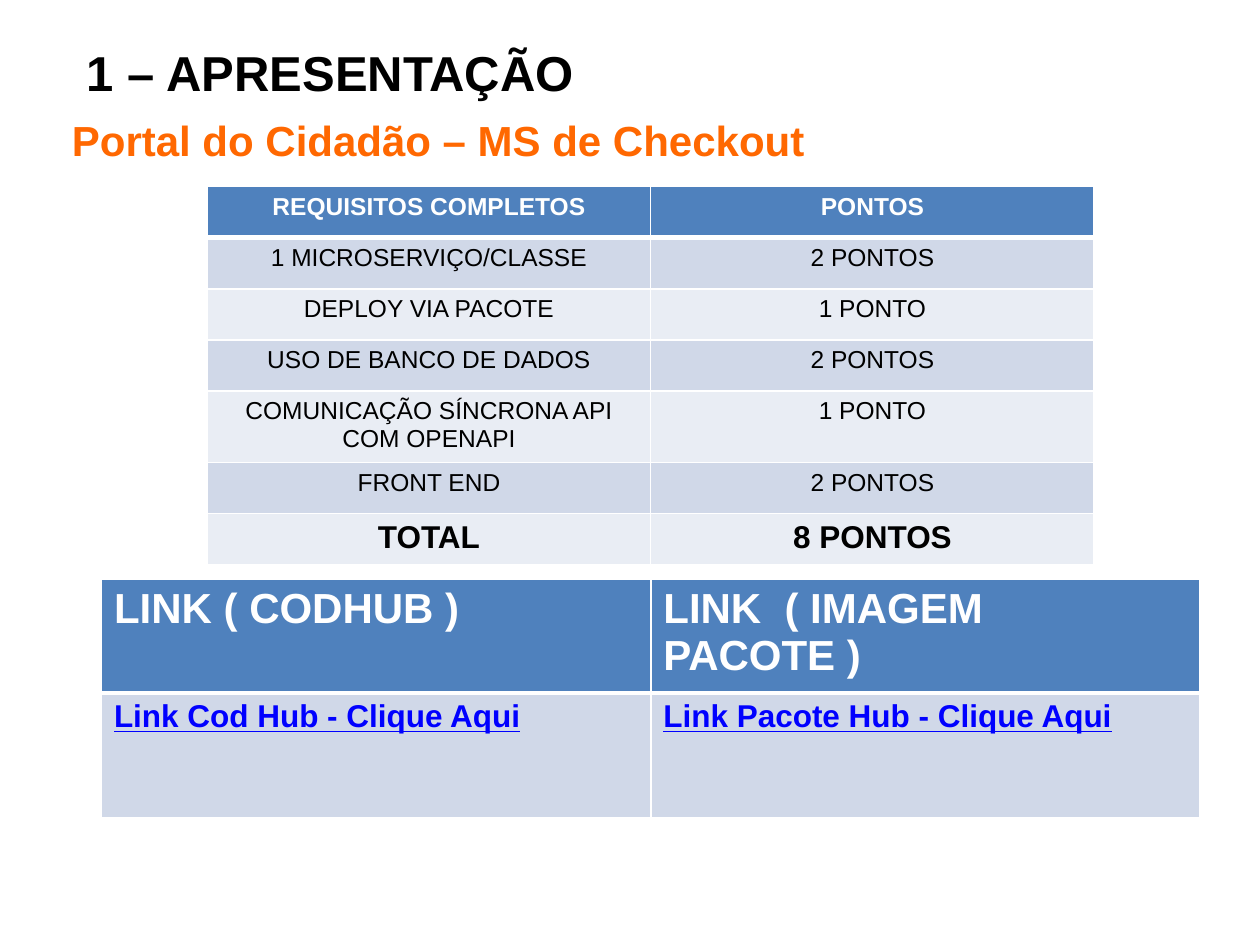
from dataclasses import dataclass
from lxml import etree
from pptx import Presentation
from pptx.dml.color import RGBColor
from pptx.enum.text import PP_ALIGN
from pptx.oxml.ns import qn
from pptx.util import Inches, Pt

LEFT, MID, JUST = PP_ALIGN.LEFT, PP_ALIGN.CENTER, PP_ALIGN.JUSTIFY
WIDE, HIGH = Inches(10), Inches(7.5)
COLS, ROWS = 100, 75


@dataclass(frozen=True)
class Theme:
    font: str = "Arial"
    ink: str = "000000"
    paper: str = "FFFFFF"
    accent: str = "FF6801"
    head: str = "4F81BD"
    bands: tuple = ("D0D8E8", "E9EDF4")
    link: str = "0000FF"
    title: int = 28
    large: int = 24
    total: int = 18
    body: int = 14
    thin: int = 1
    thick: int = 3


THEME = Theme()


def across(n):
    return round(WIDE * n / COLS)


def down(n):
    return round(HIGH * n / ROWS)


def area(left, top, width, height):
    return across(left), down(top), across(width), down(height)


def style(frame, size, color, bold=True, align=LEFT, under=False):
    for para in frame.paragraphs:
        para.alignment = align
        for run in para.runs:
            font = run.font
            font.name, font.size, font.bold = THEME.font, Pt(size), bold
            font.color.rgb = RGBColor.from_string(color)
            if under:
                font.underline = True


def label(slide, spot, text, size, color, align=LEFT):
    frame = slide.shapes.add_textbox(*area(*spot)).text_frame
    frame.word_wrap = True
    frame.text = text
    style(frame, size, color, align=align)


def edge(cell, base):
    props = cell._tc.get_or_add_tcPr()
    sides = {"L": THEME.thin, "R": THEME.thin, "T": THEME.thin, "B": base}
    for spot, (side, width) in enumerate(sides.items()):
        line = etree.Element(qn(f"a:ln{side}"), w=str(Pt(width)))
        fill = etree.SubElement(line, qn("a:solidFill"))
        etree.SubElement(fill, qn("a:srgbClr"), val=THEME.paper)
        props.insert(spot, line)


def grid(slide, spot, data, heights, looks, align=LEFT):
    shape = slide.shapes.add_table(len(data), len(data[0]), *area(*spot))
    table = shape.table
    for r, (texts, high, look) in enumerate(zip(data, heights, looks)):
        table.rows[r].height = down(high)
        for cell, text in zip(table.rows[r].cells, texts):
            cell.text = text
            style(cell.text_frame, align=align, **look)
            tint = THEME.bands[(r - 1) % 2] if r else THEME.head
            cell.fill.solid()
            cell.fill.fore_color.rgb = RGBColor.from_string(tint)
            edge(cell, THEME.thin if r else THEME.thick)


def points(slide):
    data = [
        ("REQUISITOS COMPLETOS", "PONTOS"),
        ("1 MICROSERVIÇO/CLASSE", "2 PONTOS"),
        ("DEPLOY VIA PACOTE", "1 PONTO"),
        ("USO DE BANCO DE DADOS", "2 PONTOS"),
        ("COMUNICAÇÃO SÍNCRONA API COM OPENAPI", "1 PONTO"),
        ("FRONT END", "2 PONTOS"),
        ("TOTAL", "8 PONTOS"),
    ]
    head = dict(size=THEME.body, color=THEME.paper)
    body = dict(size=THEME.body, color=THEME.ink, bold=False)
    total = dict(size=THEME.total, color=THEME.ink)
    looks = [head] + [body] * (len(data) - 2) + [total]
    high = 4.06
    spot = (16.45, 14.8, 70.4, high * len(data))
    grid(slide, spot, data, [high] * len(data), looks, MID)


def links(slide):
    data = [
        ("LINK ( CODHUB )", "LINK  ( IMAGEM PACOTE )"),
        ("Link Cod Hub - Clique Aqui", "Link Pacote Hub - Clique Aqui"),
    ]
    looks = [
        dict(size=THEME.large, color=THEME.paper),
        dict(size=THEME.total, color=THEME.link, under=True),
    ]
    heights = (8.9, 9.9)
    grid(slide, (8.05, 46, 87.2, sum(heights)), data, heights, looks)


def main():
    deck = Presentation()
    deck.slide_width, deck.slide_height = WIDE, HIGH
    slide = deck.slides.add_slide(deck.slide_layouts[6])
    label(slide, (3.8, 8.6, 92.3, 5.1), " Portal do Cidadão – MS de Checkout",
          THEME.large, THEME.accent, JUST)
    links(slide)
    points(slide)
    label(slide, (5.9, 2.9, 77.2, 5.5), "1 – APRESENTAÇÃO",
          THEME.title, THEME.ink)
    deck.save("out.pptx")


main()
